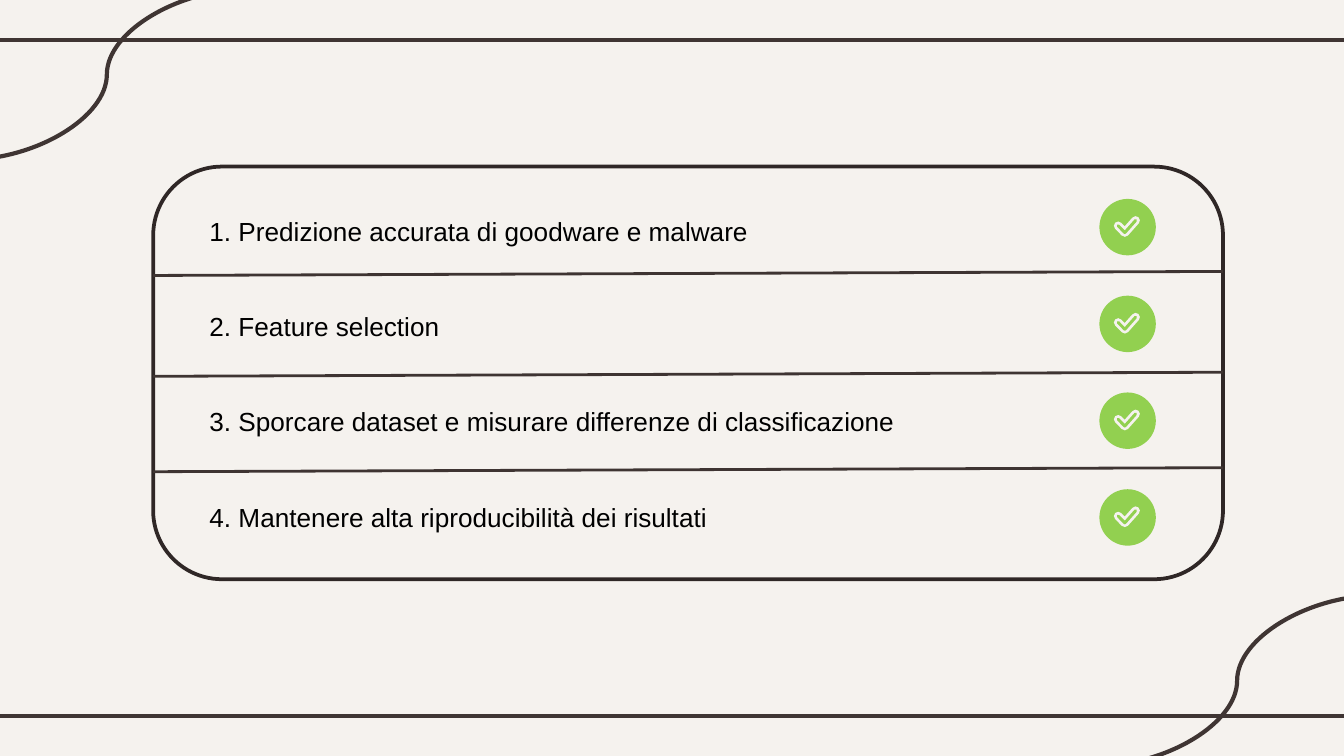
"""Build a slide listing four achieved goals, each with a check mark."""
from pptx import Presentation
from pptx.dml.color import RGBColor
from pptx.enum.shapes import MSO_CONNECTOR, MSO_SHAPE
from pptx.enum.text import MSO_ANCHOR, PP_ALIGN
from pptx.oxml.ns import qn
from pptx.util import Inches, Pt

GOALS = [
    ("1. Predizione accurata di goodware e malware", 5.54, PP_ALIGN.JUSTIFY),
    ("2. Feature selection", 2.13, PP_ALIGN.JUSTIFY),
    ("3. Sporcare dataset e misurare differenze di classificazione", 6.14, PP_ALIGN.JUSTIFY),
    ("4. Mantenere alta riproducibilità dei risultati", 4.49, PP_ALIGN.LEFT),
]
COLORS = {
    "background": "F5F2EE",
    "decoration": "3F3533",
    "border": "2F2726",
    "divider": "3E3432",
    "check": "92D050",
    "text": "000000",
}
WIDTH = 10
HEIGHT = WIDTH * 9 / 16
PANEL_LEFT, PANEL_TOP, PANEL_WIDTH, PANEL_HEIGHT = 1.14, 1.24, 7.96, 3.07
TEXT_LEFT, TEXT_TOP, TEXT_PITCH, TEXT_HEIGHT = 1.46, 1.55, 0.71, 0.34
BADGE_LEFT, BADGE_TOP, BADGE_PITCH, BADGE_SIZE = 8.18, 1.48, 0.72, 0.42
DIVIDERS, DIVIDER_RISE = (2.05, 2.8, 3.51), 0.03
RULES, BLEED = (0.3, 5.33), 0.08
CURVES = [(10.26, 4.43), (1.85, -0.08)]
CURVE_WIDTH, CURVE_HEIGHT = 2.11, 1.27
TICK = [(0.14, 0.2), (0.19, 0.25), (0.27, 0.16)]
TICK_STROKES = [("background", 4.6), ("check", 1.6)]


def color(name):
    return RGBColor.from_string(COLORS[name])


def style_line(line, name, points):
    line.color.rgb = color(name)
    line.width = Pt(points)


def add_line(slide, kind, start, end, name, points):
    connector = slide.shapes.add_connector(kind, *map(Inches, start + end))
    style_line(connector.line, name, points)
    properties = connector._element.spPr
    properties.append(properties.makeelement(qn("a:effectLst"), {}))


def add_decorations(slide):
    for y in RULES:
        add_line(slide, MSO_CONNECTOR.STRAIGHT, (-BLEED, y), (WIDTH + BLEED, y),
                 "decoration", 2.25)
    for x, y in CURVES:
        add_line(slide, MSO_CONNECTOR.CURVE, (x, y), (x - CURVE_WIDTH, y + CURVE_HEIGHT),
                 "decoration", 2.25)


def add_panel(slide):
    panel = slide.shapes.add_shape(
        MSO_SHAPE.ROUNDED_RECTANGLE,
        *map(Inches, (PANEL_LEFT, PANEL_TOP, PANEL_WIDTH, PANEL_HEIGHT)))
    panel.shadow.inherit = False
    panel.fill.background()
    style_line(panel.line, "border", 2)
    for y in DIVIDERS:
        add_line(slide, MSO_CONNECTOR.STRAIGHT, (PANEL_LEFT, y),
                 (PANEL_LEFT + PANEL_WIDTH, y - DIVIDER_RISE), "divider", 1.5)


def add_goal(slide, row, wording, width, alignment):
    top = TEXT_TOP + row * TEXT_PITCH
    box = slide.shapes.add_textbox(*map(Inches, (TEXT_LEFT, top, width, TEXT_HEIGHT)))
    frame = box.text_frame
    frame.word_wrap = True
    frame.vertical_anchor = MSO_ANCHOR.TOP
    paragraph = frame.paragraphs[0]
    paragraph.alignment = alignment
    run = paragraph.add_run()
    run.text = wording
    run.font.name = "Arial"
    run.font.size = Pt(14)
    run.font.color.rgb = color("text")


def add_badge(slide, row):
    top = BADGE_TOP + row * BADGE_PITCH
    disc = slide.shapes.add_shape(
        MSO_SHAPE.OVAL, *map(Inches, (BADGE_LEFT, top, BADGE_SIZE, BADGE_SIZE)))
    disc.shadow.inherit = False
    disc.fill.solid()
    disc.fill.fore_color.rgb = color("check")
    disc.line.fill.background()
    points = [(Inches(BADGE_LEFT + x), Inches(top + y)) for x, y in TICK]
    for name, stroke in TICK_STROKES:
        builder = slide.shapes.build_freeform(*points[0])
        builder.add_line_segments(points[1:], close=False)
        tick = builder.convert_to_shape()
        tick.shadow.inherit = False
        tick.fill.background()
        style_line(tick.line, name, stroke)
        outline = tick._element.spPr.find(qn("a:ln"))
        outline.set("cap", "rnd")
        outline.append(outline.makeelement(qn("a:round"), {}))


def main():
    deck = Presentation()
    deck.slide_width, deck.slide_height = Inches(WIDTH), Inches(HEIGHT)
    slide = deck.slides.add_slide(deck.slide_layouts[6])
    slide.background.fill.solid()
    slide.background.fill.fore_color.rgb = color("background")
    add_decorations(slide)
    add_panel(slide)
    for row, goal in enumerate(GOALS):
        add_goal(slide, row, *goal)
        add_badge(slide, row)
    deck.save("out.pptx")


if __name__ == "__main__":
    main()
